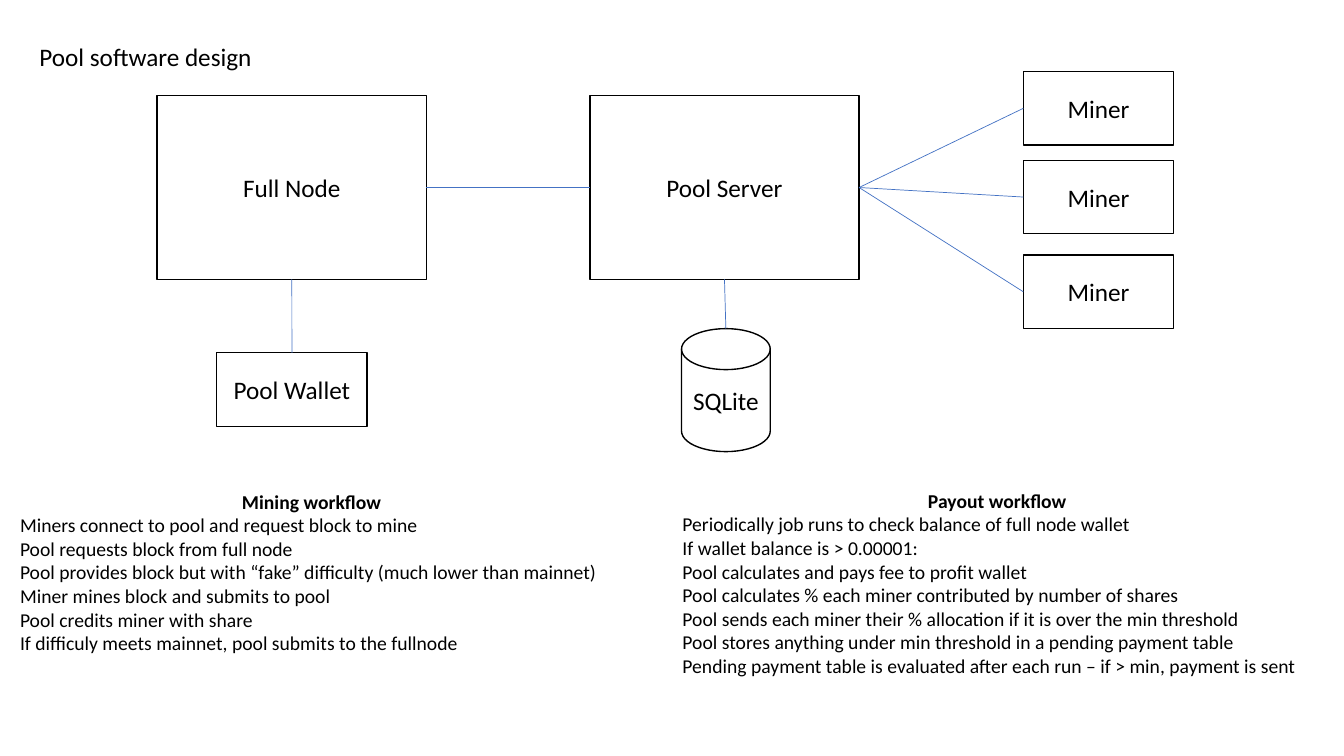
"""Builds the pool software design slide."""
from dataclasses import dataclass

from lxml.etree import SubElement
from pptx import Presentation
from pptx.dml.color import RGBColor
from pptx.enum.shapes import MSO_CONNECTOR, MSO_SHAPE
from pptx.enum.text import MSO_ANCHOR, MSO_AUTO_SIZE, PP_ALIGN
from pptx.oxml.ns import qn
from pptx.util import Inches, Pt

WIDTH, HEIGHT = Inches(13.33), Inches(7.5)
FONT, BLACK, WHITE, BLUE = "Calibri", "000000", "FFFFFF", "4472C4"
TOP, LEFT, BOTTOM, RIGHT = range(4)
DISK_TOP = 1


@dataclass(frozen=True)
class Area:
    left: float
    top: float
    width: float
    height: float

    def lengths(self):
        return (round(WIDTH * self.left / 100), round(HEIGHT * self.top / 100),
                round(WIDTH * self.width / 100), round(HEIGHT * self.height / 100))


@dataclass(frozen=True)
class Node:
    label: str
    area: Area
    outline: MSO_SHAPE = MSO_SHAPE.RECTANGLE


@dataclass(frozen=True)
class Workflow:
    heading: str
    area: Area
    wraps: bool
    steps: tuple


def major(label: str, left: float) -> Node:
    return Node(label, Area(left, 12.67, 20.03, 24.27))


def minor(label: str, left: float, top: float) -> Node:
    return Node(label, Area(left, top, 11.18, 9.73))


FULL_NODE = major("Full Node", 11.7)
POOL_SERVER = major("Pool Server", 43.89)
WALLET = minor("Pool Wallet", 16.13, 46.67)
DATABASE = Node("SQLite", Area(50.71, 43.47, 6.6, 16.27),
                MSO_SHAPE.FLOWCHART_MAGNETIC_DISK)
MINERS = [minor("Miner", 76.14, top) for top in (9.47, 21.2, 33.73)]

WORKFLOWS = (
    Workflow("Mining workflow", Area(0.75, 64.13, 44.86, 23.33), False, (
        "Miners connect to pool and request block to mine",
        "Pool requests block from full node",
        "Pool provides block but with “fake” difficulty (much lower than mainnet)",
        "Miner mines block and submits to pool",
        "Pool credits miner with share",
        "If difficuly meets mainnet, pool submits to the fullnode")),
    Workflow("Payout workflow", Area(50.04, 64, 48.31, 29.6), True, (
        "Periodically job runs to check balance of full node wallet",
        "If wallet balance is > 0.00001:",
        "Pool calculates and pays fee to profit wallet",
        "Pool calculates % each miner contributed by number of shares",
        "Pool sends each miner their % allocation if it is over the min threshold",
        "Pool stores anything under min threshold in a pending payment table",
        "Pending payment table is evaluated after each run – if > min, payment is sent")),
)


def colour(target, value: str) -> None:
    target.rgb = RGBColor.from_string(value)


def write(para, text: str, size: int, align=PP_ALIGN.LEFT, bold=False) -> None:
    para.alignment = align
    span = para.add_run()
    span.text = text
    span.font.name, span.font.size, span.font.bold = FONT, Pt(size), bold
    colour(span.font.color, BLACK)


def draw_node(page, node: Node):
    box = page.shapes.add_shape(node.outline, *node.area.lengths())
    box.shadow.inherit = False
    box.fill.solid()
    colour(box.fill.fore_color, WHITE)
    colour(box.line.color, BLACK)
    box.line.width = Pt(1)
    frame = box.text_frame
    frame.word_wrap = True
    frame.vertical_anchor = MSO_ANCHOR.MIDDLE
    write(frame.paragraphs[0], node.label, 18, PP_ALIGN.CENTER)
    return box


def link(page, start, start_site: int, end, end_site: int):
    line = page.shapes.add_connector(MSO_CONNECTOR.STRAIGHT, 0, 0, 0, 0)
    line.begin_connect(start, start_site)
    line.end_connect(end, end_site)
    colour(line.line.color, BLUE)
    line.line.width = Pt(0.5)
    SubElement(line._element.spPr, qn("a:effectLst"))
    return line


def draw_workflow(page, flow: Workflow) -> None:
    frame = page.shapes.add_textbox(*flow.area.lengths()).text_frame
    frame.word_wrap = flow.wraps
    frame.auto_size = MSO_AUTO_SIZE.SHAPE_TO_FIT_TEXT
    write(frame.paragraphs[0], flow.heading, 14, PP_ALIGN.CENTER, True)
    for step in flow.steps:
        write(frame.add_paragraph(), step, 14)


def draw_title(page, text: str, area: Area) -> None:
    title = page.shapes.title
    title.left, title.top, title.width, title.height = area.lengths()
    frame = title.text_frame
    frame.word_wrap = False
    frame.auto_size = MSO_AUTO_SIZE.SHAPE_TO_FIT_TEXT
    frame.vertical_anchor = MSO_ANCHOR.TOP
    write(frame.paragraphs[0], text, 18)


def main() -> None:
    deck = Presentation()
    deck.slide_width, deck.slide_height = WIDTH, HEIGHT
    page = deck.slides.add_slide(deck.slide_layouts[5])
    draw_title(page, "Pool software design", Area(2.18, 4.8, 17.55, 5.33))

    server, full_node, wallet, database = (
        draw_node(page, node) for node in (POOL_SERVER, FULL_NODE, WALLET, DATABASE))
    for miner in MINERS:
        link(page, draw_node(page, miner), LEFT, server, RIGHT)
    link(page, server, LEFT, full_node, RIGHT)
    link(page, full_node, BOTTOM, wallet, TOP)
    storage = link(page, server, BOTTOM, database, DISK_TOP)
    storage.end_x = database.left + database.width // 2
    storage.end_y = database.top

    for flow in WORKFLOWS:
        draw_workflow(page, flow)
    deck.save("out.pptx")


main()
